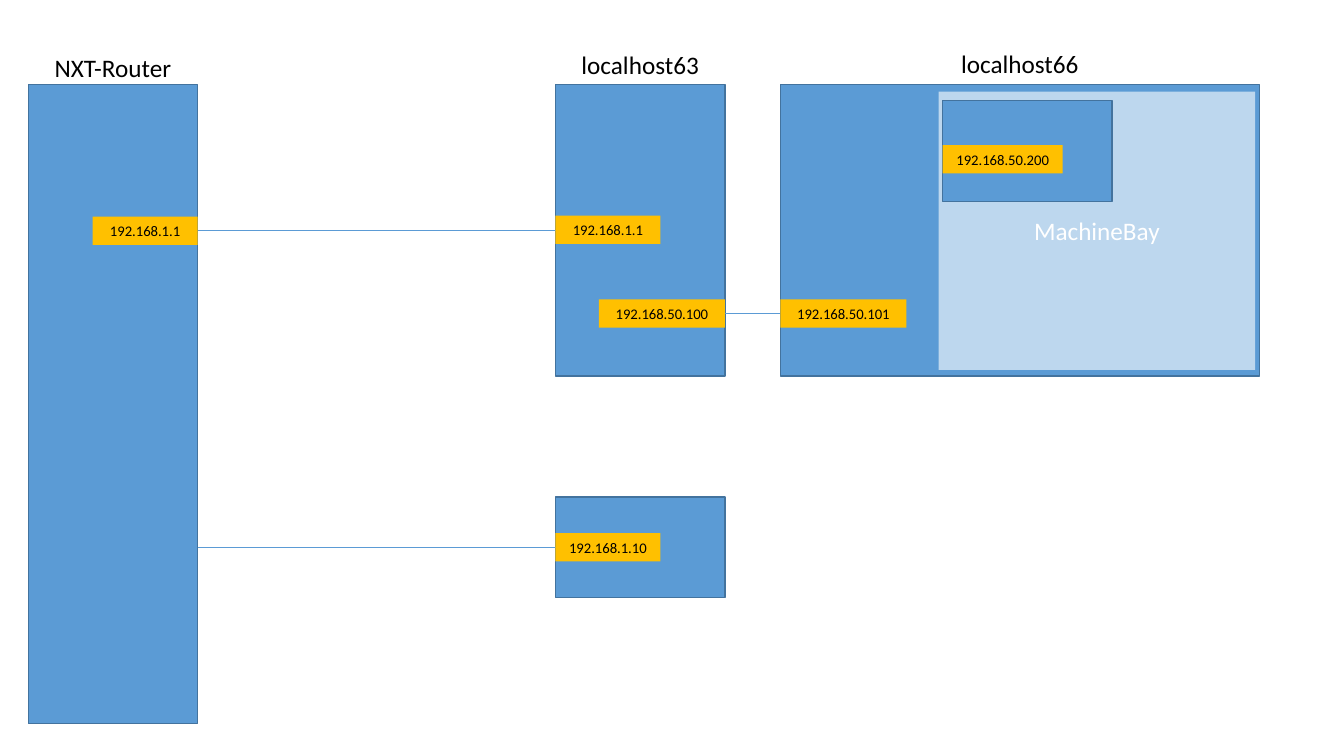
"""Draw a network map of hosts, address tags and links."""
from lxml.etree import SubElement
from pptx import Presentation
from pptx.dml.color import RGBColor
from pptx.enum.shapes import MSO_CONNECTOR as Link, MSO_SHAPE as Kind
from pptx.enum.text import MSO_ANCHOR as Anchor, PP_ALIGN as Align
from pptx.oxml.ns import qn
from pptx.util import Inches, Pt

BLUE, EDGE, PALE, GOLD = "5B9BD5", "43739E", "BDD7EE", "FFC000"
BLACK, WHITE = "000000", "FFFFFF"
TOP, WIDE, TALL, LOW = 0.84, 1.68, 2.89, 1.0
LABEL_W, LABEL_H = 1.53, 0.4

HOSTS = {
    "router": (0.28, TOP, WIDE, 6.34),
    "gate": (5.51, TOP, WIDE, TALL),
    "server": (7.74, TOP, 4.75, TALL),
    "client": (5.51, 4.93, WIDE, LOW),
}
GUEST = (9.35, 1.0, WIDE, LOW)
PANEL = (9.31, 0.91, 3.14, 2.76)
LABELS = [("router", "NXT-Router", 0.47), ("gate", "localhost63", 0.44),
          ("server", "localhost66", 0.43)]
LINKS = [("router", "gate", 2.29), ("gate", "server", 3.11),
         ("router", "client", 5.43)]
TAGS = [
    ("router", "right", "192.168.1.1", 1.04, 2.29),
    ("gate", "left", "192.168.1.1", 1.04, 2.28),
    ("gate", "right", "192.168.50.100", 1.25, 3.11),
    ("client", "left", "192.168.1.10", 1.04, 5.43),
    ("server", "left", "192.168.50.101", 1.25, 3.11),
]
GUEST_TAG = ("left", "192.168.50.200", 1.19, 1.58)
TAG_H = 0.28


def color(code):
    return RGBColor.from_string(code)


def write(shape, text, size, ink):
    frame = shape.text_frame
    frame.word_wrap = True
    frame.text = text
    para = frame.paragraphs[0]
    para.alignment = Align.CENTER
    font = para.runs[0].font
    font.name, font.size, font.color.rgb = "Calibri", Pt(size), color(ink)


def draw_box(area, fill, edge=None):
    box = shapes.add_shape(Kind.RECTANGLE, *map(Inches, area))
    box.shadow.inherit = False
    box.fill.solid()
    box.fill.fore_color.rgb = color(fill)
    if edge:
        box.line.color.rgb = color(edge)
        box.line.width = Pt(1)
    else:
        box.line.fill.background()
    return box


def draw_tag(host, side, text, wide, mid):
    left, _, span, _ = host
    if side == "right":
        left += span - wide
    tag = draw_box((left, mid - TAG_H / 2, wide, TAG_H), GOLD)
    tag.text_frame.vertical_anchor = Anchor.MIDDLE
    write(tag, text, 10.5, BLACK)


def draw_link(start, end, mid):
    left, _, span, _ = HOSTS[start]
    ends = (left + span, mid, HOSTS[end][0], mid)
    line = shapes.add_connector(Link.STRAIGHT, *map(Inches, ends))
    line.line.color.rgb = color(BLUE)
    line.line.width = Pt(0.5)
    SubElement(line._element.spPr, qn("a:effectLst"))


def draw_label(host, text, top):
    left, _, span, _ = HOSTS[host]
    area = (left + (span - LABEL_W) / 2, top, LABEL_W, LABEL_H)
    write(shapes.add_textbox(*map(Inches, area)), text, 18, BLACK)


deck = Presentation()
deck.slide_width, deck.slide_height = Inches(13.33), Inches(7.5)
shapes = deck.slides.add_slide(deck.slide_layouts[6]).shapes

for area in HOSTS.values():
    draw_box(area, BLUE, EDGE)
for link in LINKS:
    draw_link(*link)
for host, *rest in TAGS:
    draw_tag(HOSTS[host], *rest)
for label in LABELS:
    draw_label(*label)

panel = draw_box(PANEL, PALE)
panel.text_frame.vertical_anchor = Anchor.MIDDLE
write(panel, "MachineBay", 18, WHITE)
draw_box(GUEST, BLUE, EDGE)
draw_tag(GUEST, *GUEST_TAG)

deck.save("out.pptx")
